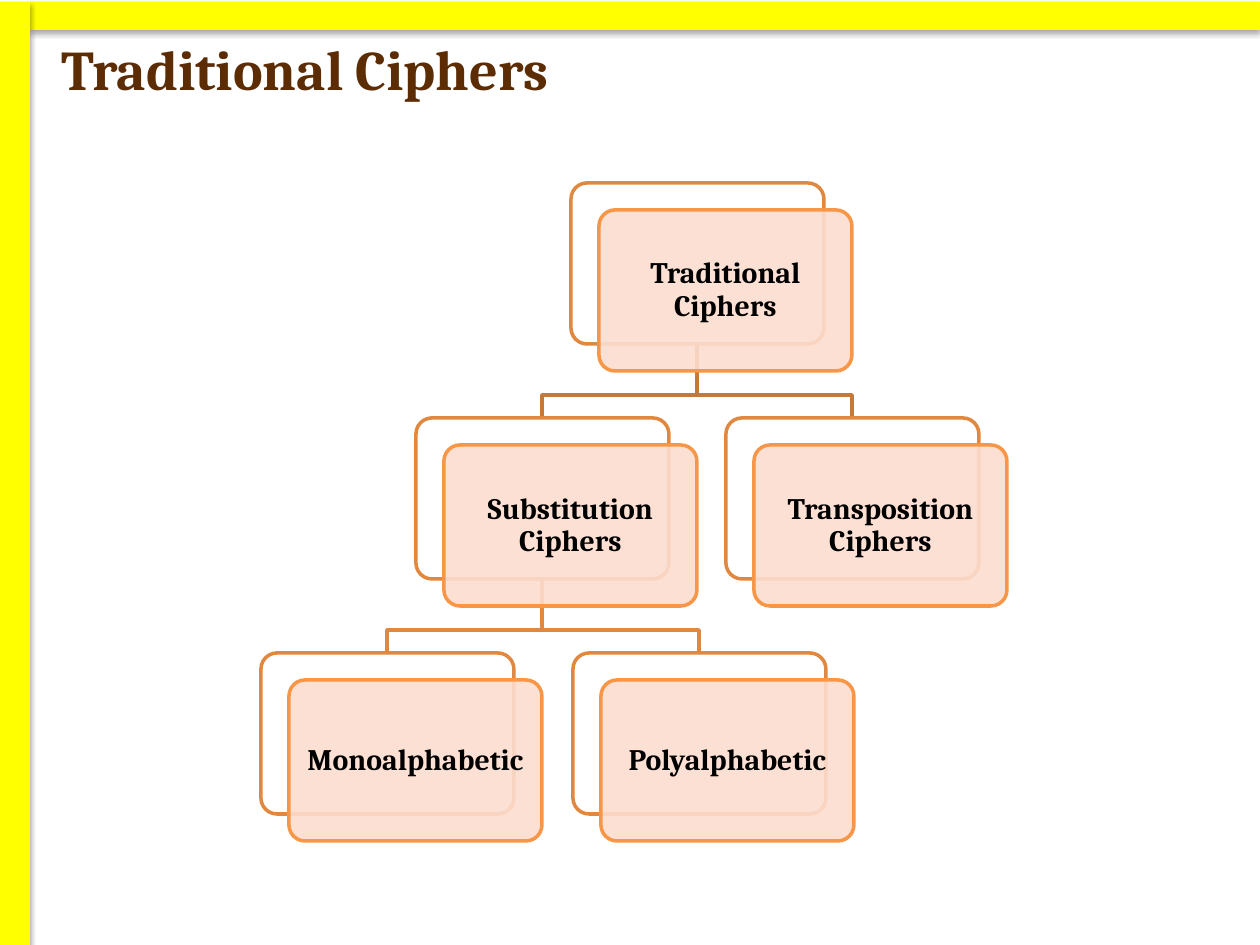
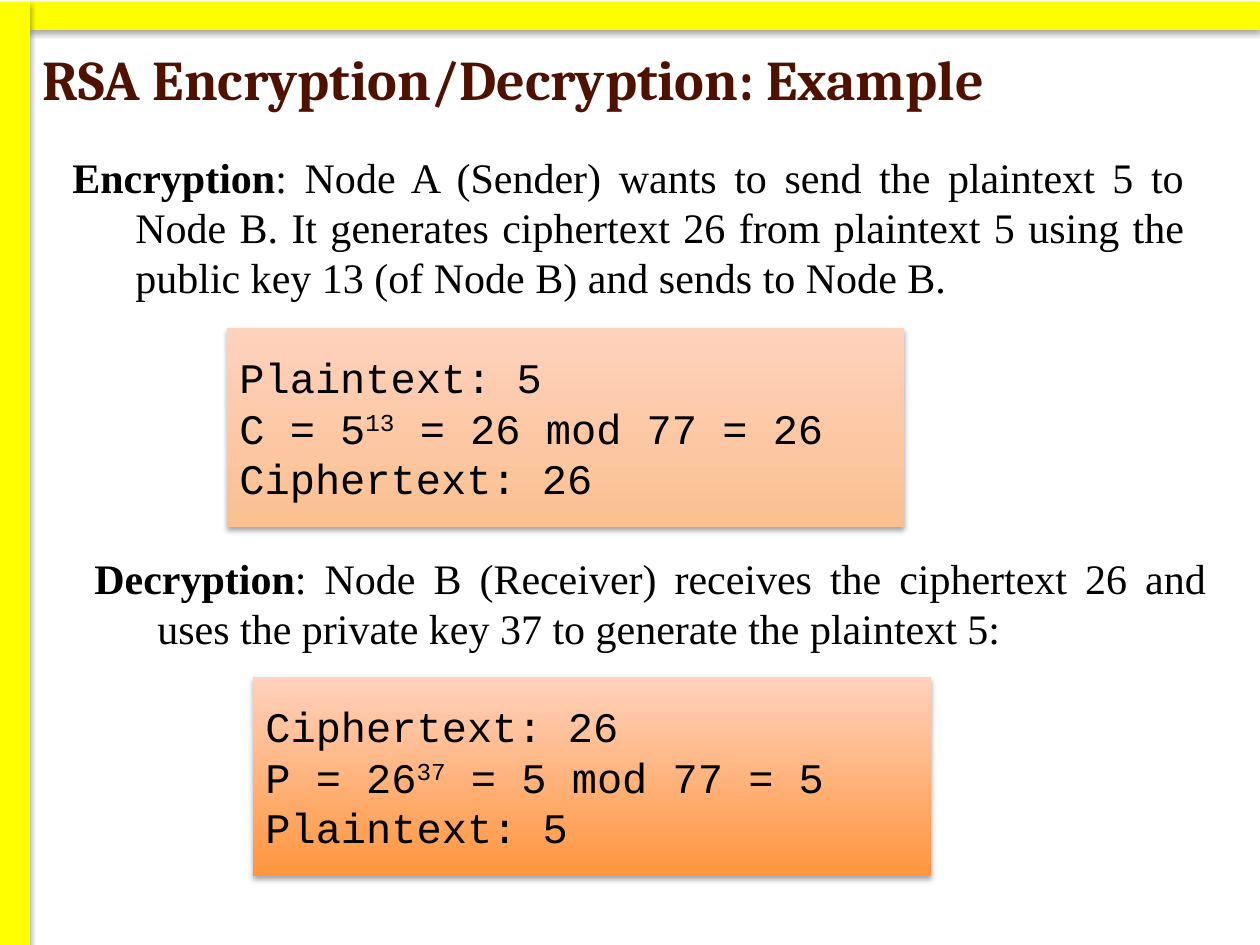
from dataclasses import dataclass

from lxml.etree import SubElement
from pptx import Presentation
from pptx.dml.color import RGBColor
from pptx.enum.shapes import MSO_SHAPE as SHAPE
from pptx.enum.text import MSO_ANCHOR as ANCHOR, PP_ALIGN as ALIGN
from pptx.oxml.ns import qn
from pptx.util import Pt

SCALE = 914400 / 126  # EMU in one pixel


@dataclass(frozen=True)
class Theme:
    band: str = "FFFF00"
    text: str = "000000"
    tree_title: str = "5C2C04"
    rsa_title: str = "4F1201"
    paper: str = "FFFFFF"
    node: str = "FCDDCF"
    node_line: str = "F79646"
    back_line: str = "E08840"
    root_link: str = "C67838"
    code_top: str = "FFD2BD"
    code_pale: str = "FAC090"
    code_strong: str = "FF953E"
    head_font: str = "Cambria"
    body_font: str = "Times New Roman"
    code_font: str = "Courier New"
    title_size: int = 32
    body_size: int = 24
    node_size: int = 17
    line_width: int = 2


T = Theme()


def px(n):
    return round(n * SCALE)


def rgb(color):
    return RGBColor.from_string(color)


def style(r, font, size, color=T.text, bold=False):
    r.font.name, r.font.size, r.font.bold = font, Pt(size), bold
    r.font.color.rgb = rgb(color)


def add_run(p, text, *look, **more):
    r = p.add_run()
    r.text = text
    style(r, *look, **more)
    return r


def outline(sp, color):
    sp.line.color.rgb = rgb(color)
    sp.line.width = Pt(T.line_width)


def add_box(slide, box, kind=SHAPE.RECTANGLE, fill=None):
    sp = slide.shapes.add_shape(kind, *map(px, box))
    sp.shadow.inherit = False
    sp.line.fill.background()
    if fill:
        sp.fill.solid()
        sp.fill.fore_color.rgb = rgb(fill)
    return sp


def add_text(slide, box, anchor=ANCHOR.TOP):
    tf = slide.shapes.add_textbox(*map(px, box)).text_frame
    tf.word_wrap, tf.vertical_anchor = True, anchor
    return tf


def drop_shadow(sp):
    effects = sp._element.spPr.find(qn("a:effectLst"))
    shadow = SubElement(effects, qn("a:outerShdw"), blurRad="40000", dist="23000",
                        dir="5400000", rotWithShape="0")
    color = SubElement(shadow, qn("a:srgbClr"), val="000000")
    SubElement(color, qn("a:alpha"), val="35000")


# Shared frame: title and yellow bands
def add_frame(prs, title, box, color):
    slide = prs.slides.add_slide(prs.slide_layouts[6])
    tf = add_text(slide, box, ANCHOR.MIDDLE)
    add_run(tf.paragraphs[0], title, T.head_font, T.title_size, color, bold=True)
    for band in ((30, 2, 1230, 28), (0, 2, 30, 945)):
        drop_shadow(add_box(slide, band, fill=T.band))
    return slide


# Cipher tree
NODE_W, NODE_H = 253, 161
LEVEL = 235          # from one row of nodes to the next
ELBOW = 51           # from the parent down to the crossbar
SHIFT_X, SHIFT_Y = 28, 27


def add_node(slide, x, y, text):
    boxes = ((x, y, T.paper, T.back_line),
             (x + SHIFT_X, y + SHIFT_Y, T.node, T.node_line))
    for left, top, fill, line in boxes:
        sp = add_box(slide, (left, top, NODE_W, NODE_H), SHAPE.ROUNDED_RECTANGLE, fill)
        sp.adjustments[0] = 0.1
        outline(sp, line)
    # The front card is slightly see-through and carries the label
    color = sp._element.spPr.find(qn("a:solidFill"))[0]
    SubElement(color, qn("a:alpha"), val="90000")
    tf = sp.text_frame
    tf.word_wrap, tf.vertical_anchor = True, ANCHOR.MIDDLE
    tf.margin_left = tf.margin_right = tf.margin_top = tf.margin_bottom = px(9)
    p = tf.paragraphs[0]
    p.alignment, p.line_spacing = ALIGN.CENTER, 0.9
    add_run(p, text, T.head_font, T.node_size, bold=True)


def add_link(slide, x, y, dx, color):
    start_x, start_y = x + NODE_W // 2, y + NODE_H
    end_x, bar_y = start_x + dx, start_y + ELBOW
    points = [(start_x, bar_y), (end_x, bar_y), (end_x, y + LEVEL)]
    path = slide.shapes.build_freeform(px(start_x), px(start_y))
    path.add_line_segments([(px(a), px(b)) for a, b in points], close=False)
    sp = path.convert_to_shape()
    sp.shadow.inherit = False
    sp.fill.background()
    outline(sp, color)


def add_links(slide, x, y, children, color=T.root_link):
    for dx, _, below in children:
        add_link(slide, x, y, dx, color)
        add_links(slide, x + dx, y + LEVEL, below, T.back_line)


def add_nodes(slide, x, y, text, children):
    add_node(slide, x, y, text)
    for dx, label, below in children:
        add_nodes(slide, x + dx, y + LEVEL, label, below)


def tree_slide(prs):
    slide = add_frame(prs, "Traditional Ciphers", (49, 11, 1211, 115), T.tree_title)
    # Each child: shift from its parent, label, own children
    children = [
        (-155, "Substitution Ciphers", [(-155, "Monoalphabetic", []),
                                        (157, "Polyalphabetic", [])]),
        (155, "Transposition Ciphers", []),
    ]
    root = (571, 183)
    add_links(slide, *root, children)
    add_nodes(slide, *root, "Traditional Ciphers", children)


# RSA example
def add_step(slide, box, term, text):
    p = add_text(slide, box).paragraphs[0]
    p.alignment = ALIGN.JUSTIFY
    pPr = p._p.get_or_add_pPr()
    pPr.set("marL", str(px(63)))
    pPr.set("indent", str(-px(63)))
    add_run(p, term, T.body_font, T.body_size, bold=True)
    add_run(p, text, T.body_font, T.body_size)


def add_code(slide, box, bottom, lines):
    sp = add_box(slide, box)
    drop_shadow(sp)
    sp.fill.gradient()
    sp.fill.gradient_angle = 270
    for stop, color in zip(sp.fill.gradient_stops, (T.code_top, bottom)):
        stop.color.rgb = rgb(color)
    for stop, position in zip(sp.fill.gradient_stops, (0, 1)):
        stop.position = position
    tf = sp.text_frame
    tf.word_wrap, tf.vertical_anchor = True, ANCHOR.MIDDLE
    for i, line in enumerate(lines):
        p = tf.add_paragraph() if i else tf.paragraphs[0]
        p.alignment = ALIGN.LEFT
        # Text after the first caret, up to the second, is raised
        for j, part in enumerate(line.split("^")):
            r = add_run(p, part, T.code_font, T.body_size)
            if j == 1:
                r.font._element.set("baseline", "30000")


def rsa_slide(prs):
    slide = add_frame(prs, "RSA Encryption/Decryption: Example",
                      (30, 30, 1230, 96), T.rsa_title)
    add_step(slide, (60, 145, 1137, 165), "Encryption",
             ": Node A (Sender) wants to send the plaintext 5 to Node B. It generates "
             "ciphertext 26 from plaintext 5 using the public key 13 (of Node B) and "
             "sends to Node B.")
    add_code(slide, (227, 328, 677, 199), T.code_pale,
             ["Plaintext: 5", "C = 5^13^ = 26 mod 77 = 26", "Ciphertext: 26"])
    add_step(slide, (82, 546, 1137, 115), "Decryption",
             ": Node B (Receiver) receives the ciphertext 26 and uses the private key "
             "37 to generate the plaintext 5:")
    add_code(slide, (253, 677, 678, 199), T.code_strong,
             ["Ciphertext: 26", "P = 26^37^ = 5 mod 77 = 5", "Plaintext: 5"])


prs = Presentation()
prs.slide_width, prs.slide_height = px(1260), px(945)
tree_slide(prs)
rsa_slide(prs)
prs.save("out.pptx")
